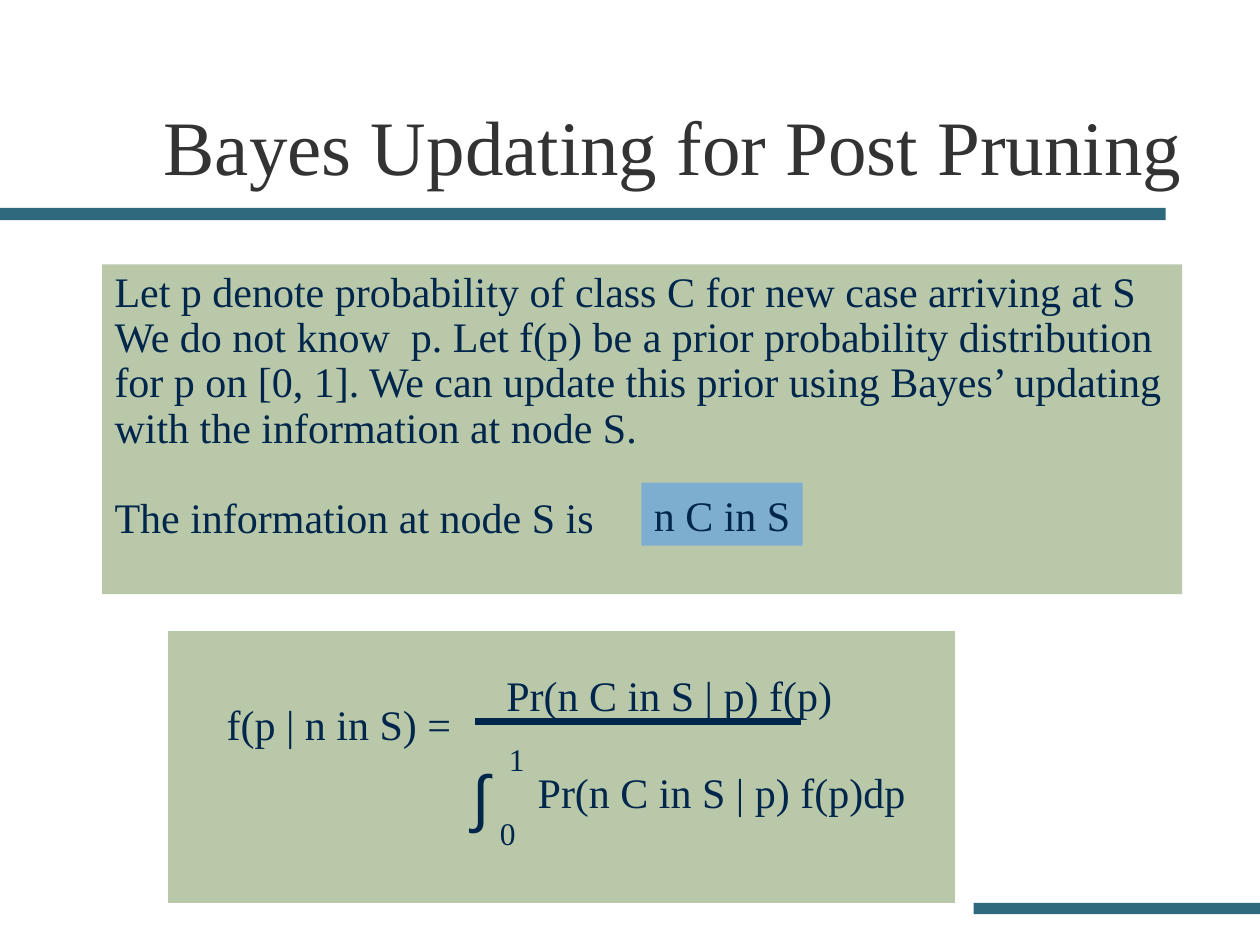
from dataclasses import dataclass

from lxml import etree
from pptx import Presentation
from pptx.dml.color import RGBColor
from pptx.enum.shapes import MSO_CONNECTOR, MSO_SHAPE
from pptx.enum.text import MSO_ANCHOR, MSO_AUTO_SIZE, PP_ALIGN
from pptx.oxml.ns import qn
from pptx.util import Cm, Pt

RECTANGLE = MSO_SHAPE.RECTANGLE
STRAIGHT = MSO_CONNECTOR.STRAIGHT
TOP, BOTTOM = MSO_ANCHOR.TOP, MSO_ANCHOR.BOTTOM
LEFT = PP_ALIGN.LEFT
NO_AUTOFIT = MSO_AUTO_SIZE.NONE
TITLE_ONLY = 5


@dataclass(frozen=True)
class Theme:
    bar: RGBColor = RGBColor(0x2E, 0x69, 0x7E)
    panel: RGBColor = RGBColor(0xBA, 0xC8, 0xAA)
    highlight: RGBColor = RGBColor(0x7D, 0xAE, 0xCF)
    white: RGBColor = RGBColor(0xFF, 0xFF, 0xFF)
    title: RGBColor = RGBColor(0x33, 0x33, 0x33)
    ink: RGBColor = RGBColor(0x00, 0x26, 0x4C)
    font: str = "Times New Roman"
    symbol_font: str = "Arial"
    title_size: int = 44
    symbol_size: int = 36
    body_size: int = 24
    limit_size: int = 18
    tight: float = 0.9


THEME = Theme()

STATEMENT = [
    "Let p denote probability of class C for new case arriving at S",
    "We do not know  p. Let f(p) be a prior probability distribution",
    "for p on [0, 1]. We can update this prior using Bayes’ updating",
    "with the information at node S.",
    "The information at node S is",
]


def add_span(para, text, size, color=THEME.ink, font=THEME.font):
    span = para.add_run()
    span.text = text
    span.font.name = font
    span.font.size = Pt(size)
    span.font.color.rgb = color


def set_frame(box, anchor=TOP, wrap=False):
    frame = box.text_frame
    frame.auto_size = NO_AUTOFIT
    frame.word_wrap = wrap
    frame.vertical_anchor = anchor
    frame.margin_left = frame.margin_right = Cm(0.25)
    frame.margin_top = frame.margin_bottom = Cm(0.13)
    return frame


def write_lines(box, lines, size=THEME.body_size, font=THEME.font, spacing=THEME.tight):
    frame = set_frame(box)
    for index, line in enumerate(lines):
        para = frame.add_paragraph() if index else frame.paragraphs[0]
        para.alignment = LEFT
        para.line_spacing = spacing
        add_span(para, line, size, font=font)
    return frame


def add_title(page, text):
    box = page.shapes.title
    box.left, box.top, box.width, box.height = Cm(3.05), Cm(0.79), Cm(21.59), Cm(3.18)
    para = set_frame(box, BOTTOM, wrap=True).paragraphs[0]
    para.alignment = LEFT
    add_span(para, text, THEME.title_size, THEME.title)


def add_block(page, left, top, width, height, fill, border=None):
    block = page.shapes.add_shape(RECTANGLE, Cm(left), Cm(top), Cm(width), Cm(height))
    block.shadow.inherit = False
    block.fill.solid()
    block.fill.fore_color.rgb = fill
    if border is None:
        block.line.fill.background()
    else:
        block.line.color.rgb = border
        block.line.width = Pt(0.75)
    return block


def add_term(page, text, left, top, width, height,
             size=THEME.body_size, font=THEME.font):
    """Place one piece of the formula."""
    box = page.shapes.add_textbox(Cm(left), Cm(top), Cm(width), Cm(height))
    write_lines(box, [text], size, font)


def add_fraction_bar(page, left, right, y):
    bar = page.shapes.add_connector(STRAIGHT, Cm(left), Cm(y), Cm(right), Cm(y))
    bar.line.color.rgb = THEME.ink
    bar.line.width = Pt(4)
    etree.SubElement(bar.element.spPr, qn("a:effectLst"))


def add_statement(page):
    panel = add_block(page, 2.06, 5.33, 21.77, 6.65, THEME.panel)
    frame = write_lines(panel, STATEMENT)
    frame.paragraphs[-1].space_before = Pt(26)
    label = add_block(page, 12.93, 9.73, 3.25, 1.27, THEME.highlight)
    write_lines(label, ["n C in S"], spacing=1.0)


def add_formula(page):
    add_block(page, 3.38, 12.7, 15.88, 5.51, THEME.panel, THEME.white)
    add_term(page, "f(p | n in S) =", 4.32, 14.07, 5.03, 1.17)
    add_term(page, "Pr(n C in S | p) f(p)", 9.96, 13.49, 7.06, 1.17)
    add_fraction_bar(page, 9.58, 16.15, 14.55)
    add_term(page, "∫", 9.27, 15.32, 1.24, 1.63, THEME.symbol_size, THEME.symbol_font)
    add_term(page, "1", 10.01, 14.88, 0.81, 0.94, THEME.limit_size)
    add_term(page, "0", 9.83, 16.36, 0.81, 0.94, THEME.limit_size)
    add_term(page, "Pr(n C in S | p) f(p)dp", 10.59, 15.44, 7.92, 1.17)


def main():
    deck = Presentation()
    deck.slide_width, deck.slide_height = Cm(25.4), Cm(19.05)
    page = deck.slides.add_slide(deck.slide_layouts[TITLE_ONLY])
    add_block(page, 0, 4.19, 23.5, 0.25, THEME.bar)
    add_block(page, 19.63, 18.2, 5.77, 0.23, THEME.bar)
    add_title(page, "Bayes Updating for Post Pruning")
    add_statement(page)
    add_formula(page)
    deck.save("out.pptx")


if __name__ == "__main__":
    main()
